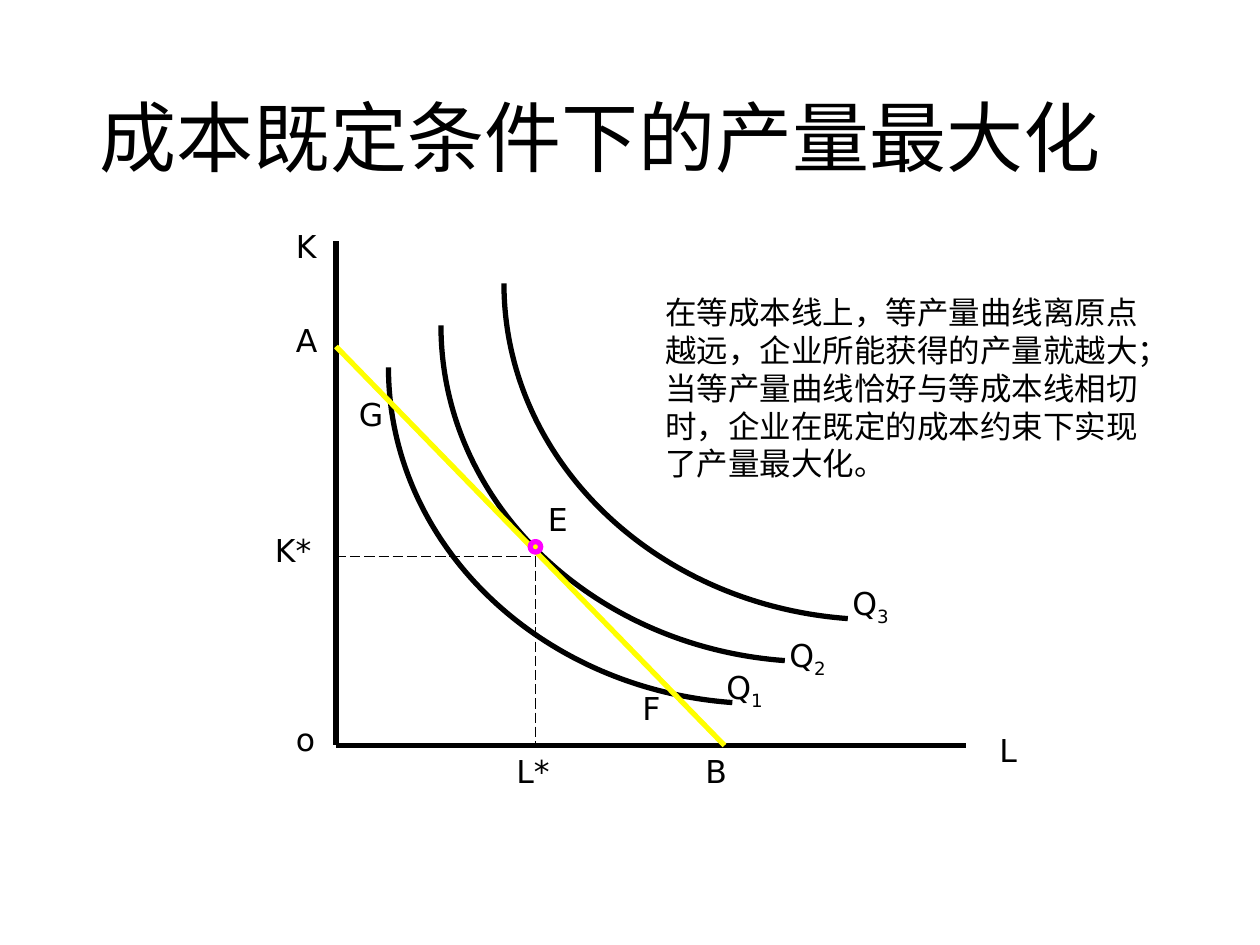
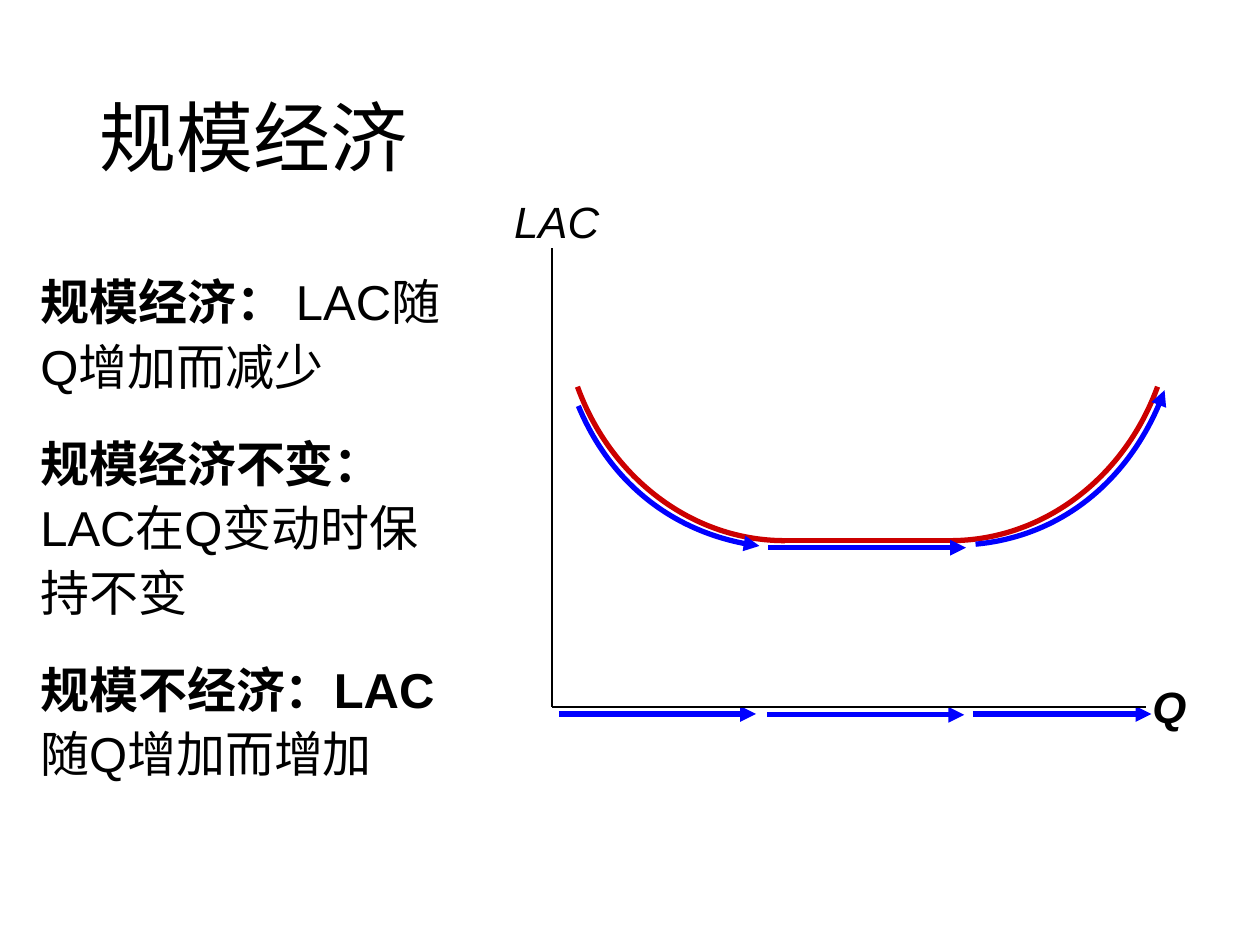
from lxml.etree import SubElement
from pptx import Presentation
from pptx.dml.color import RGBColor
from pptx.enum.dml import MSO_LINE
from pptx.enum.shapes import MSO_CONNECTOR, MSO_SHAPE
from pptx.enum.text import MSO_ANCHOR, MSO_AUTO_SIZE, PP_ALIGN
from pptx.oxml.ns import qn
from pptx.util import Pt

BLACK, YELLOW, MAGENTA = "000000", "FFFF00", "FF00FF"
RED, BLUE = "CC0000", "0000FF"
TITLE = {"name": "Calibri", "size": Pt(44)}
NOTE = {"name": "Calibri", "size": Pt(18)}
LABEL = {"name": "DejaVu Sans", "size": Pt(18)}
BODY = {"name": "Arial", "size": Pt(28)}
AXIS = {"name": "Arial", "size": Pt(25), "italic": True}
BOLD = {"bold": True}
SUBSCRIPT = {"baseline": "-25000"}


def color(hex_code):
    return RGBColor.from_string(hex_code)


def set_attributes(obj, values):
    for name, value in values.items():
        setattr(obj, name, value)


class Deck:
    def __init__(self):
        self.prs = Presentation()
        self.prs.slide_width, self.prs.slide_height = Pt(720), Pt(540)
        self.s = None

    def slide(self, title):
        self.s = self.prs.slides.add_slide(self.prs.slide_layouts[5])
        sp = self.s.shapes.title
        set_attributes(sp, {"left": Pt(49.5), "top": Pt(29), "width": Pt(621), "height": Pt(104)})
        self.fill_frame(sp.text_frame, [[(title, {})]], TITLE, {"line_spacing": 0.9})
        sp.text_frame.vertical_anchor = MSO_ANCHOR.MIDDLE

    def fill_frame(self, tf, paragraphs, font, layout, gap=0):
        """Each paragraph is a list of (text, extra format) runs; gap separates paragraphs."""
        set_attributes(tf, {"word_wrap": True, "auto_size": MSO_AUTO_SIZE.NONE})
        for i, runs in enumerate(paragraphs):
            p = tf.add_paragraph() if i else tf.paragraphs[0]
            set_attributes(p, {"alignment": PP_ALIGN.LEFT, **layout})
            if i and gap:
                p.space_before = Pt(gap)
            for text, extra in runs:
                r = p.add_run()
                r.text = text
                r.font.color.rgb = color(BLACK)
                if extra is SUBSCRIPT:
                    set_attributes(r.font, font)
                    r._r.get_or_add_rPr().set("baseline", extra["baseline"])
                else:
                    set_attributes(r.font, {**font, **extra})

    def text(self, box, paragraphs, font, gap=0, **layout):
        sp = self.s.shapes.add_textbox(*map(Pt, box))
        self.fill_frame(sp.text_frame, paragraphs, font, layout, gap)

    def label(self, x, y, text, subscript="", width=66):
        runs = [(text, {})] + ([(subscript, SUBSCRIPT)] if subscript else [])
        self.text((x, y, width, 36), [runs], LABEL)

    def outline(self, sp, hex_code, width, arrow=False):
        sp.line.color.rgb = color(hex_code)
        sp.line.width = Pt(width)
        if arrow:
            ln = sp._element.spPr.find(qn("a:ln"))
            SubElement(ln, qn("a:tailEnd"), type="triangle")

    def line(self, x1, y1, x2, y2, hex_code=BLACK, width=3, arrow=False, dash=None):
        sp = self.s.shapes.add_connector(MSO_CONNECTOR.STRAIGHT, *map(Pt, (x1, y1, x2, y2)))
        sp.line.dash_style = dash
        self.outline(sp, hex_code, width, arrow)
        SubElement(sp._element.spPr, qn("a:effectLst"))

    def curve(self, points, hex_code=BLACK, arrow=False):
        """Draw one cubic curve from its start, two control points and end."""
        start, *rest = [(Pt(x), Pt(y)) for x, y in points]
        builder = self.s.shapes.build_freeform(*start)
        builder.add_line_segments(rest, close=False)
        sp = builder.convert_to_shape()
        outline_path = sp._element.spPr.find(".//" + qn("a:path"))
        segments = outline_path.findall(qn("a:lnTo"))
        bezier = SubElement(outline_path, qn("a:cubicBezTo"))
        for segment in segments:
            bezier.append(segment[0])
            outline_path.remove(segment)
        sp.fill.background()
        sp.shadow.inherit = False
        self.outline(sp, hex_code, 3, arrow)

    def dot(self, x, y, size, fill, edge):
        sp = self.s.shapes.add_shape(MSO_SHAPE.OVAL, *map(Pt, (x, y, size, size)))
        sp.fill.solid()
        sp.fill.fore_color.rgb = color(fill)
        sp.shadow.inherit = False
        self.outline(sp, edge, 3)


def output_maximum(deck):
    deck.slide("成本既定条件下的产量最大化")
    left, bottom = 192, 426
    best_l, best_k = 306, 318
    deck.line(left, 138, left, bottom)
    deck.line(left, bottom, 552, bottom)

    isoquant = [(0, 0), (0, 101), (86.5, 183.5), (196.5, 191.5)]
    for x, y in [(252, 186), (222, 210), (288, 162)]:
        deck.curve([(x + dx, y + dy) for dx, dy in isoquant])
    for x, y, number, width in [(408, 378, "1", 84), (444, 360, "2", 78), (480, 330, "3", 78)]:
        deck.label(x, y, "Q", number, width)

    deck.line(left, 198, 414, bottom, YELLOW)
    for ends in [(left, best_k, best_l, best_k), (best_l, best_k, best_l, bottom)]:
        deck.line(*ends, width=0.75, dash=MSO_LINE.LONG_DASH)
    for x, y, text in [(162, 408, "o"), (564, 414, "L"), (162, 126, "K"), (162, 180, "A"),
                       (396, 426, "B"), (306, 282, "E"), (198, 222, "G"), (360, 390, "F"),
                       (150, 300, "K*"), (288, 426, "L*")]:
        deck.label(x, y, text)
    deck.dot(303, 309.5, 6, YELLOW, MAGENTA)

    lines = ["在等成本线上，等产量曲线离原点",
             "越远，企业所能获得的产量就越大；",
             "当等产量曲线恰好与等成本线相切时，企业在既定的成本约束下实现了产量最大化。"]
    deck.text((373, 164, 297.5, 117), [[(text, {})] for text in lines], NOTE)


def scale_economies(deck):
    deck.slide("规模经济")
    deck.text((16, 148.5, 252, 391.5), [
        [("规模经济：", BOLD), (" LAC随Q增加而减少", {})],
        [("规模经济不变：", BOLD), (" LAC在Q变动时保持不变", {})],
        [("规模不经济：LAC", BOLD), ("随Q增加而增加", {})],
    ], BODY, gap=18.2, line_spacing=1.1)

    falling = [(330, 221), (349, 273.5), (396, 309), (448.5, 309)]
    rising = [(991.5 - x, y) for x, y in reversed(falling)]
    for points in (falling, rising):
        deck.curve(points, RED)
    deck.line(448.5, 309, 543, 309, RED)

    for points in ([(330.5, 232), (349, 276.5), (389, 306.5), (434, 312)],
                   [(557.5, 311), (606, 306.5), (648, 272), (665.5, 223)]):
        deck.curve(points, BLUE, arrow=True)
    for x1, x2, y in [(439, 552, 313), (319.5, 432, 408), (438.5, 551, 408.5), (556, 658, 408)]:
        deck.line(x1, y, x2, y, BLUE, arrow=True)

    deck.line(315.5, 142, 315.5, 404, width=0.75)
    deck.line(315.5, 404, 655, 404, width=0.75)
    deck.text((651.5, 385, 42, 37.5), [[("Q", BOLD)]], AXIS)
    deck.text((278, 107.5, 71.5, 37.5), [[("LAC", {})]], AXIS, alignment=PP_ALIGN.RIGHT)


def main():
    deck = Deck()
    output_maximum(deck)
    scale_economies(deck)
    deck.prs.save("out.pptx")


if __name__ == "__main__":
    main()
